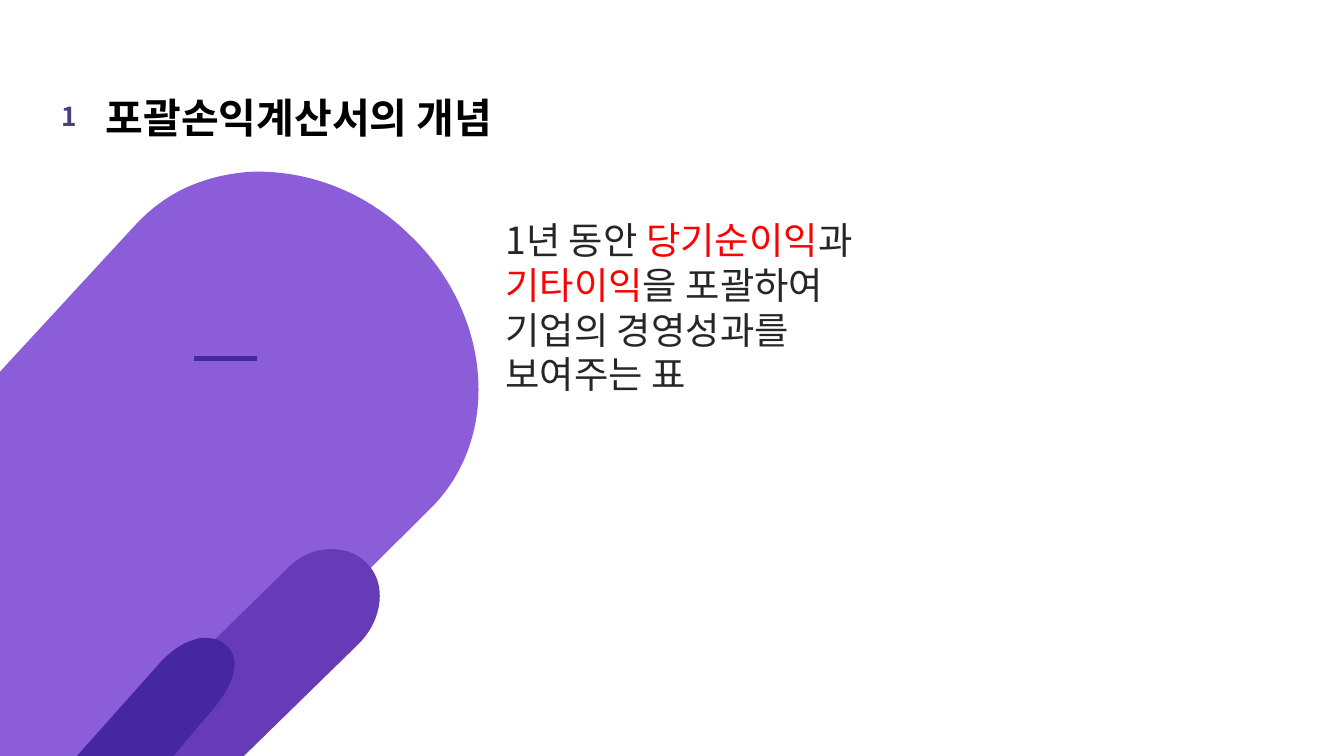
from math import cos, radians, sin

from lxml import etree
from pptx import Presentation
from pptx.dml.color import RGBColor
from pptx.enum.shapes import MSO_CONNECTOR
from pptx.enum.text import PP_ALIGN
from pptx.oxml.ns import qn
from pptx.util import Cm, Pt

STRAIGHT = MSO_CONNECTOR.STRAIGHT
LEFT, CENTER = PP_ALIGN.LEFT, PP_ALIGN.CENTER

FONT = "Noto Sans CJK KR"
COLORS = {
    "light": "8B5DD9",
    "middle": "673BB7",
    "dark": "4527A1",
    "number": "4B3D85",
    "title": "000000",
    "body": "262626",
    "accent": "FF0000",
}
PAGE_WIDTH, PAGE_HEIGHT = 25.4, 14.29
LINE_HEIGHT = 1.2

# Capsule outlines on the page in cm: one point is a corner, three a curve
LARGE_CAPSULE = [
    [(4.7, 3.25)],
    [(5.74, 3.2), (6.86, 3.58), (7.72, 4.42)],
    [(9.27, 5.87), (9.5, 8.18), (8.2, 9.55)],
    [(3.45, 14.27)], [(-0.05, 14.3)], [(-0.03, 7.06)], [(2.57, 4.24)],
    [(2.9, 3.89), (3.28, 3.63), (3.68, 3.48)],
    [(4.01, 3.35), (4.34, 3.28), (4.7, 3.25)],
]
MIDDLE_CAPSULE = [
    [(6.4, 10.39)],
    [(6.6, 10.41), (6.78, 10.49), (6.93, 10.64)],
    [(7.32, 11.02), (7.24, 11.71), (6.78, 12.17)],
    [(4.6, 14.3)], [(1.8, 14.3)], [(5.41, 10.77)],
    [(5.69, 10.46), (6.07, 10.34), (6.4, 10.39)],
]
SMALL_CAPSULE = [
    [(3.99, 12.07)],
    [(4.09, 12.07), (4.17, 12.11), (4.24, 12.17)],
    [(4.6, 12.42), (4.42, 12.95), (4.04, 13.39)],
    [(3.23, 14.35)], [(1.42, 14.33)], [(3.05, 12.5)],
    [(3.25, 12.29), (3.48, 12.14), (3.68, 12.09)],
    [(3.78, 12.05), (3.89, 12.05), (3.99, 12.07)],
]


def color(name):
    return RGBColor.from_string(COLORS[name])


def turn_back(point, left, top, width, height, rotation):
    """Undo the rotation of a page point; measure it from the box corner."""
    angle = radians(-rotation)
    x, y = point[0] - left - width / 2, point[1] - top - height / 2
    return (width / 2 + x * cos(angle) - y * sin(angle),
            height / 2 + x * sin(angle) + y * cos(angle))


def add_capsule(page, segments, left, top, width, height, *, rotation, fill):
    builder = page.shapes.build_freeform(Cm(left), Cm(top))
    right, bottom = Cm(left + width), Cm(top + height)
    builder.add_line_segments(
        [(right, Cm(top)), (right, bottom), (Cm(left), bottom)])
    shape = builder.convert_to_shape()

    # Replace the frame with the curved outline
    outline = shape._element.find(".//" + qn("a:path"))
    for child in list(outline):
        outline.remove(child)
    for index, segment in enumerate(segments):
        tag = "a:cubicBezTo" if len(segment) == 3 else "a:lnTo"
        command = etree.SubElement(outline, qn(tag if index else "a:moveTo"))
        for point in segment:
            x, y = turn_back(point, left, top, width, height, rotation)
            etree.SubElement(command, qn("a:pt"),
                             x=str(int(Cm(x))), y=str(int(Cm(y))))
    etree.SubElement(outline, qn("a:close"))

    shape.rotation = rotation
    shape.shadow.inherit = False
    shape.fill.solid()
    shape.fill.fore_color.rgb = color(fill)
    shape.line.fill.background()


def add_rule(page, left, right, top, line_color, width):
    line = page.shapes.add_connector(
        STRAIGHT, Cm(left), Cm(top), Cm(right), Cm(top))
    line.line.color.rgb = color(line_color)
    line.line.width = Pt(width)
    etree.SubElement(line._element.spPr, qn("a:effectLst"))


def add_text(page, spans, left, top, width, height, *,
             size, bold=False, align=LEFT, space=0):
    """Add one paragraph made of (text, color name) spans."""
    box = page.shapes.add_textbox(Cm(left), Cm(top), Cm(width), Cm(height))
    frame = box.text_frame
    frame.word_wrap = True
    para = frame.paragraphs[0]
    para.alignment = align
    para.line_spacing = Pt(size * LINE_HEIGHT)
    para.space_after = Pt(space)
    for text, name in spans:
        span = para.add_run()
        span.text = text
        span.font.name = FONT
        span.font.size = Pt(size)
        span.font.bold = bold
        span.font.color.rgb = color(name)
        east_asian = etree.SubElement(span.font._element, qn("a:ea"))
        east_asian.set("typeface", FONT)


def main():
    deck = Presentation()
    deck.slide_width, deck.slide_height = Cm(PAGE_WIDTH), Cm(PAGE_HEIGHT)
    page = deck.slides.add_slide(deck.slide_layouts[6])

    # Numbered heading
    add_text(page, [("1", "number")], 0.89, 1.78, 0.84, 0.86,
             size=14, bold=True, align=CENTER)
    add_text(page, [("포괄손익계산서의 개념", "title")], 1.75, 1.63, 16.15, 1.19,
             size=22, bold=True)

    # Overlapping capsules with a short rule
    add_capsule(page, LARGE_CAPSULE, -2.84, 5.11, 12.55, 7.75,
                rotation=313.3, fill="light")
    add_capsule(page, MIDDLE_CAPSULE, 1.6, 11.84, 6.22, 1.96,
                rotation=315.4, fill="middle")
    add_capsule(page, SMALL_CAPSULE, 1.35, 12.8, 3.48, 1.37,
                rotation=311.7, fill="dark")
    add_rule(page, 3.66, 4.85, 6.78, "dark", 3)

    # Definition
    add_text(page, [
        ("1년 동안 ", "body"),
        ("당기순이익", "accent"),
        ("과 ", "body"),
        ("기타이익", "accent"),
        ("을 포괄하여 기업의 경영성과를 보여주는 표", "body"),
    ], 9.3, 3.98, 7.39, 3.68, size=20, space=5)

    deck.save("out.pptx")


if __name__ == "__main__":
    main()
